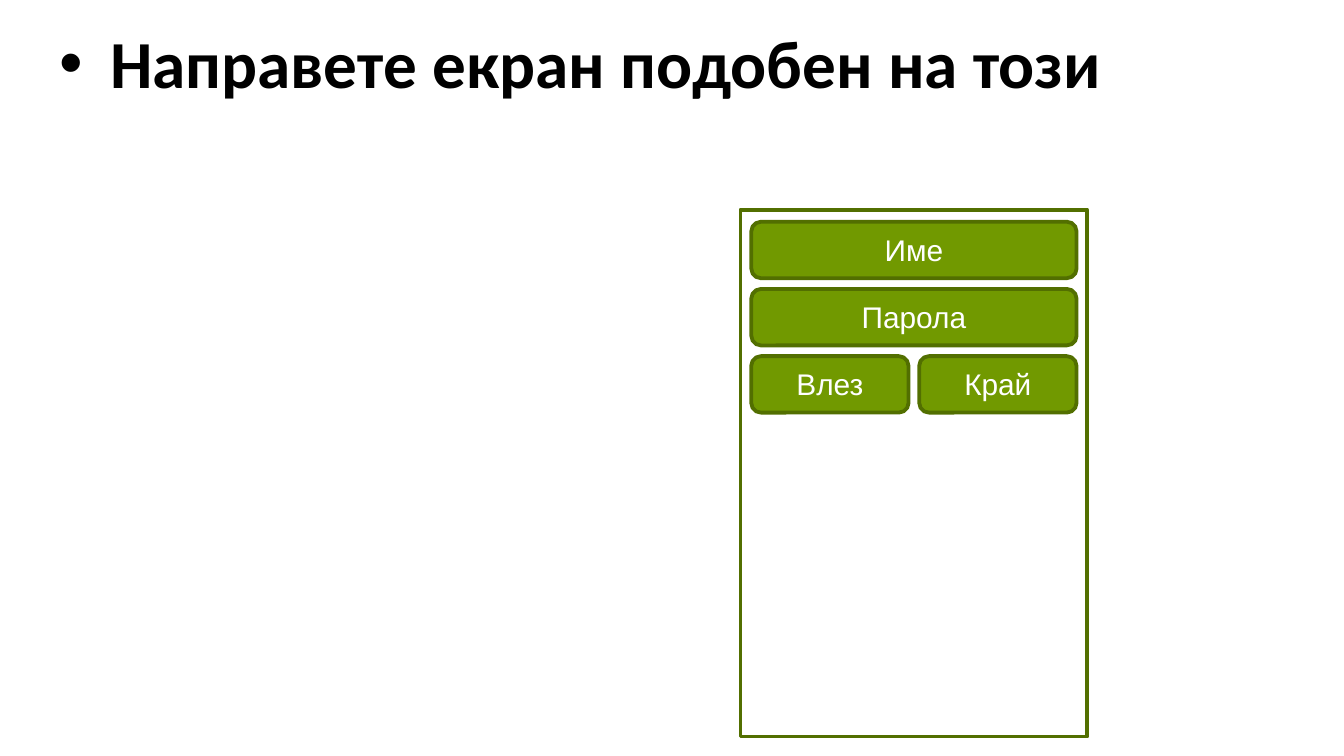
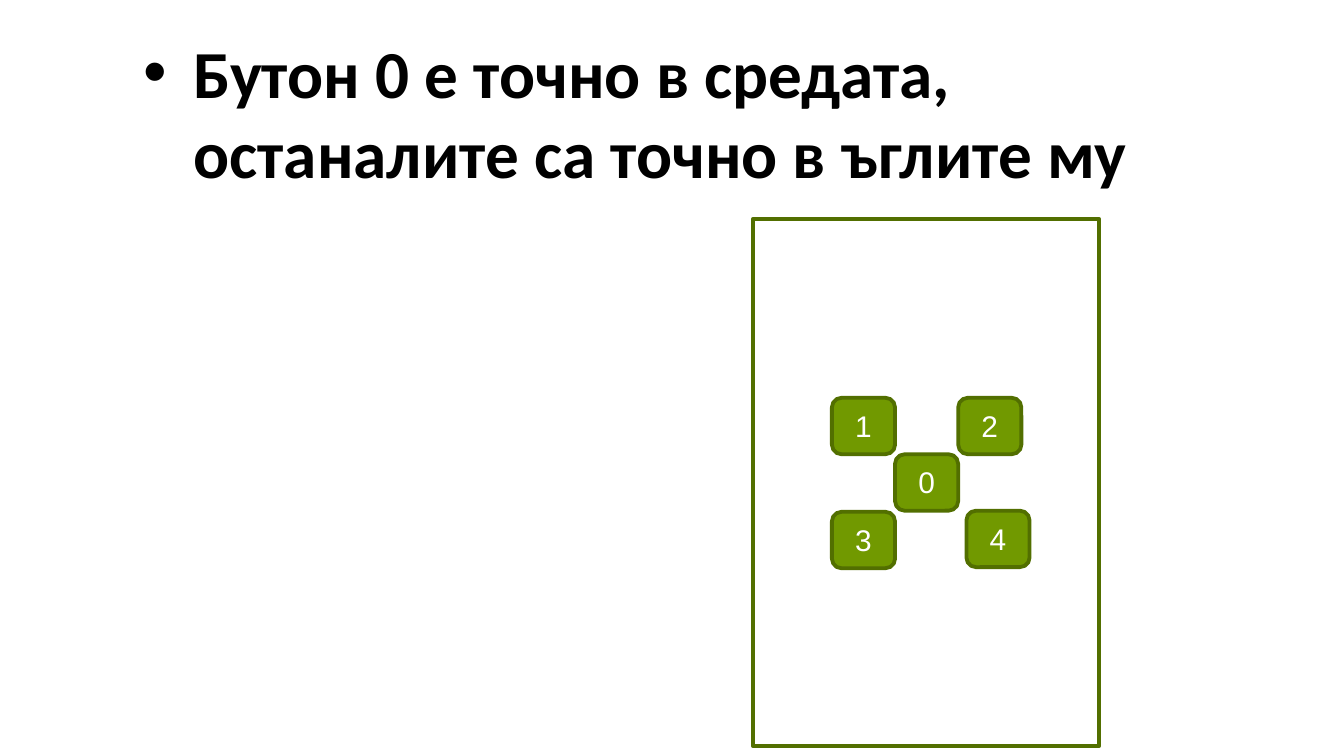
from dataclasses import dataclass
from typing import Any

from lxml import etree
from pptx import Presentation
from pptx import util as u
from pptx.dml.color import RGBColor
from pptx.enum import shapes, text
from pptx.oxml import ns

# Shared look
SLIDE_WIDTH = 10
SLIDE_HEIGHT = SLIDE_WIDTH * 9 / 16
BLACK, WHITE, GREEN, DARK_GREEN = "000000", "FFFFFF", "719900", "526F00"
TITLE_FONT = {"name": "Calibri", "size": u.Pt(36), "bold": True}
BUTTON_FONT = {"name": "Arial", "size": u.Pt(16)}
LINE_WIDTH = 2.04
PHONE_WIDTH, PHONE_HEIGHT = 2.58, 3.92
BUTTON_HEIGHT = 0.42
CORNER = 0.17
TITLE_INDENT = 0.39


@dataclass(frozen=True)
class Grid:
    """Cells of equal size, with a gap between neighbours."""
    left: float
    top: float
    cell_width: float
    gap: float = 0

    def place(self, column: float, row: float, span: int) -> tuple[float, ...]:
        pitch = self.cell_width + self.gap
        return (self.left + column * pitch,
                self.top + row * (BUTTON_HEIGHT + self.gap),
                span * pitch - self.gap,
                BUTTON_HEIGHT)


@dataclass(frozen=True)
class Button:
    label: str
    column: float
    row: float
    span: int = 1


@dataclass(frozen=True)
class Screen:
    title: tuple[str, ...]
    title_place: tuple[float, ...]
    bullet_offset: float
    phone: tuple[float, float]
    grid: Grid
    buttons: tuple[Button, ...]


SCREENS = (
    Screen(("Направете екран подобен на този",), (0.43, 0.15, 7.79, 0.63), 0.38,
           (5.51, 1.56), Grid(5.59, 1.65, 1.17, 0.08),
           (Button("Име", 0, 0, 2), Button("Парола", 0, 1, 2),
            Button("Влез", 0, 2), Button("Край", 1, 2))),
    Screen(("Бутон 0 е точно в средата,", "останалите са точно в ъглите му"),
           (1.05, 0.22, 7.39, 1.23), 0.37,
           (5.6, 1.63), Grid(6.19, 2.96, 0.47),
           (Button("0", 1, 1), Button("1", 0, 0), Button("2", 2, 0),
            Button("3", 0, 2.02), Button("4", 2.13, 2))),
)


def color(value: str) -> RGBColor:
    return RGBColor.from_string(value)


def inches(*values: float) -> list[u.Length]:
    return [u.Inches(value) for value in values]


def set_all(target: Any, values: dict[str, Any]) -> None:
    for name, value in values.items():
        setattr(target, name, value)


def write(para: Any, words: str, font: dict[str, Any], ink: str) -> None:
    span = para.add_run()
    span.text = words
    set_all(span.font, font)
    span.font.color.rgb = color(ink)


def add_title(page: Any, screen: Screen) -> None:
    frame = page.shapes.add_textbox(*inches(*screen.title_place)).text_frame
    set_all(frame, {"word_wrap": True, "margin_left": 0, "margin_right": 0,
                    "margin_top": u.Inches(0.01), "margin_bottom": 0,
                    "auto_size": text.MSO_AUTO_SIZE.SHAPE_TO_FIT_TEXT})
    for number, words in enumerate(screen.title):
        para = frame.add_paragraph() if number else frame.paragraphs[0]
        offset = 0 if number else -screen.bullet_offset
        properties = para._p.get_or_add_pPr()
        properties.set("marL", str(u.Inches(TITLE_INDENT)))
        properties.set("indent", str(u.Inches(offset)))
        if number == 0:
            etree.SubElement(properties, ns.qn("a:buFont"), typeface="Arial")
            etree.SubElement(properties, ns.qn("a:buChar"), char="•")
        write(para, words, TITLE_FONT, BLACK)


def add_box(page: Any, kind: shapes.MSO_SHAPE, place: tuple[float, ...]) -> Any:
    box = page.shapes.add_shape(kind, *inches(*place))
    box.shadow.inherit = False
    box.line.color.rgb = color(DARK_GREEN)
    box.line.width = u.Pt(LINE_WIDTH)
    return box


def add_phone(page: Any, corner: tuple[float, float]) -> None:
    place = (*corner, PHONE_WIDTH, PHONE_HEIGHT)
    add_box(page, shapes.MSO_SHAPE.RECTANGLE, place).fill.background()


def add_button(page: Any, grid: Grid, button: Button) -> None:
    place = grid.place(button.column, button.row, button.span)
    box = add_box(page, shapes.MSO_SHAPE.ROUNDED_RECTANGLE, place)
    box.adjustments[0] = CORNER
    box.fill.solid()
    box.fill.fore_color.rgb = color(GREEN)
    frame = box.text_frame
    set_all(frame, {"margin_left": 0, "margin_right": 0,
                    "margin_top": 0, "margin_bottom": u.Inches(0.01),
                    "vertical_anchor": text.MSO_ANCHOR.MIDDLE})
    para = frame.paragraphs[0]
    para.alignment = text.PP_ALIGN.CENTER
    write(para, button.label, BUTTON_FONT, WHITE)


def main() -> None:
    deck = Presentation()
    deck.slide_width, deck.slide_height = inches(SLIDE_WIDTH, SLIDE_HEIGHT)
    for screen in SCREENS:
        page = deck.slides.add_slide(deck.slide_layouts[6])
        add_title(page, screen)
        add_phone(page, screen.phone)
        for button in screen.buttons:
            add_button(page, screen.grid, button)
    deck.save("out.pptx")


if __name__ == "__main__":
    main()
